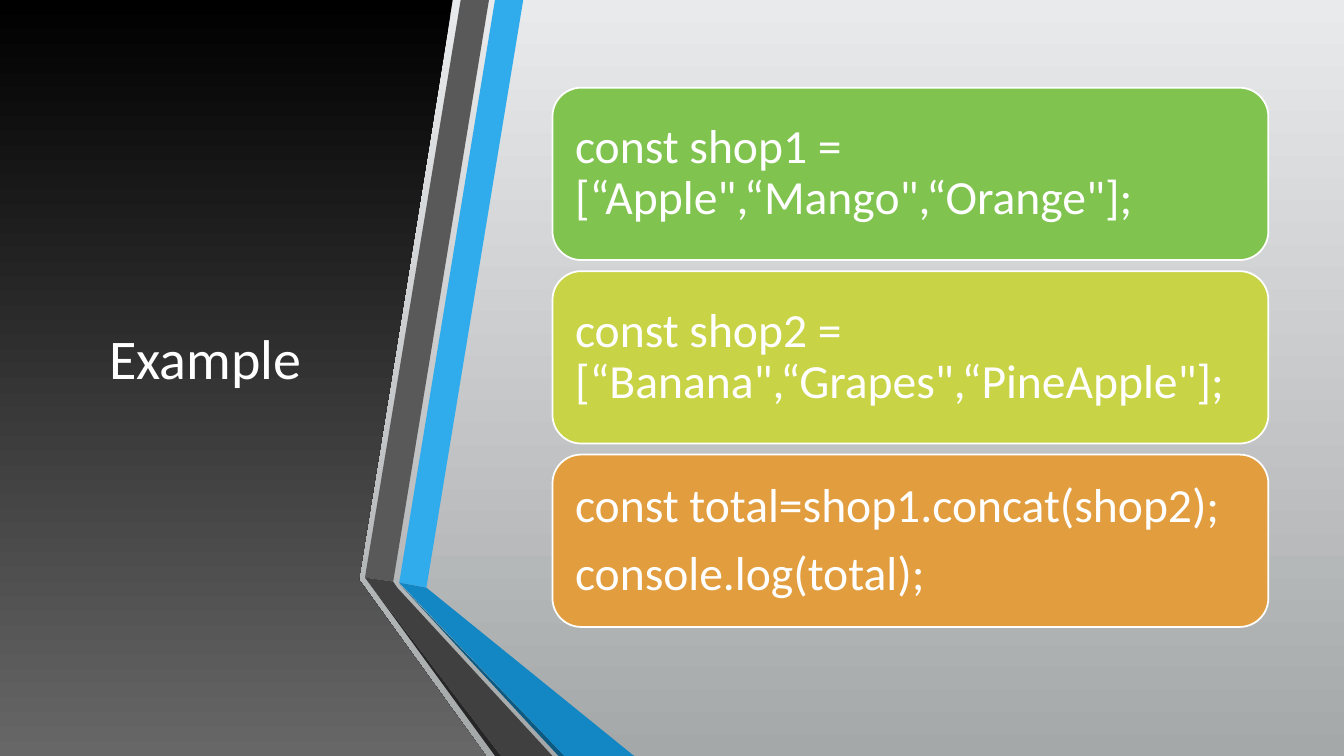
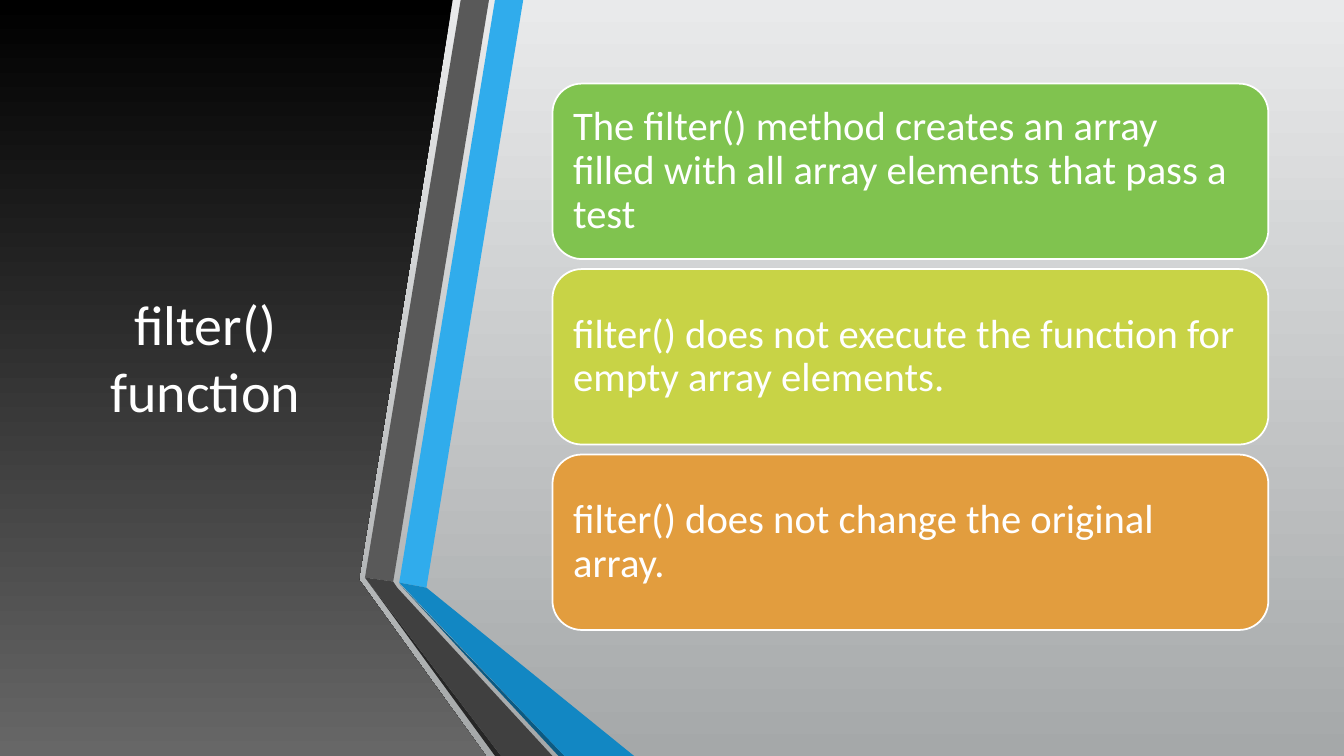
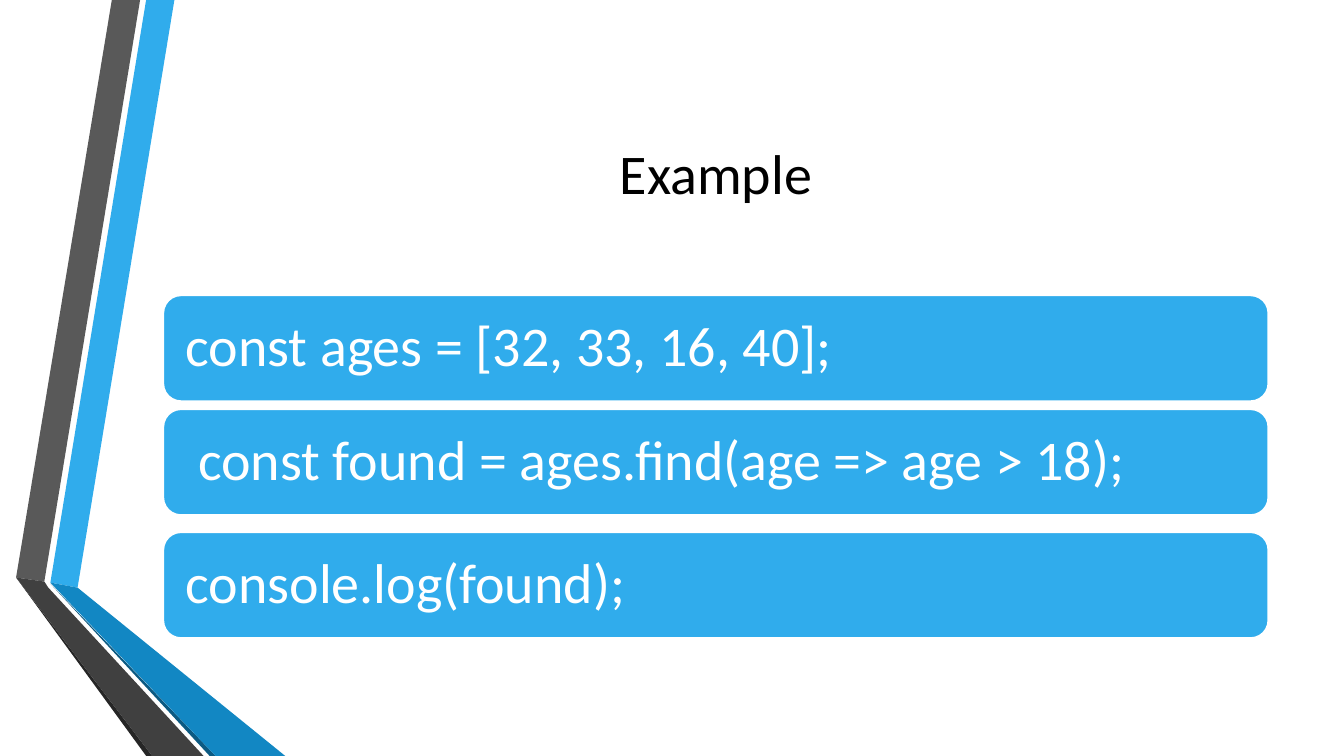
from dataclasses import dataclass

from pptx import Presentation
from pptx.dml.color import RGBColor
from pptx.enum.shapes import MSO_SHAPE
from pptx.enum.text import MSO_ANCHOR, PP_ALIGN
from pptx.util import Inches, Pt


@dataclass(frozen=True)
class Theme:
    """Colours, font and type sizes shared by all slides."""
    font: str = "Calibri"
    white: str = "FFFFFF"
    black: str = "000000"
    blue: str = "30ACEC"
    navy: str = "0C5A82"
    azure: str = "1287C3"
    gray: str = "595959"
    coal: str = "404040"
    soot: str = "262626"
    cards: tuple = ("80C34F", "C8D346", "E29D3E")
    sky: tuple = ("E9EAEB", "A5A8A9")
    night: tuple = ("000000", "676767")
    title: int = 40
    code: int = 34
    body: int = 29
    large: int = 40


THEME = Theme()
WIDTH, HEIGHT = 13.33, 7.5
SHIFT = 3.46
PANEL = ((0, 0), (4.49, 0), (3.56, 5.75), (4.82, HEIGHT), (0, HEIGHT))
BANDS = (
    (THEME.blue, ((0.5, 5.78), (0.77, 5.83), (1.73, 0), (1.45, 0))),
    (THEME.gray, ((1.39, 0), (1.11, 0), (0.16, 5.73), (0.44, 5.77))),
    (THEME.soot, ((0.16, 5.73), (1.45, HEIGHT), (1.51, HEIGHT))),
    (THEME.navy, ((0.5, 5.79), (2.08, HEIGHT), (2.14, HEIGHT))),
    (THEME.azure, ((0.5, 5.78), (2.14, HEIGHT), (2.83, HEIGHT), (0.77, 5.83))),
    (THEME.coal, ((2.02, HEIGHT), (0.48, 5.83), (0.44, 5.77), (0.16, 5.73), (1.51, HEIGHT))),
)


def tint(fill, color):
    """Fill with one colour."""
    fill.solid()
    fill.fore_color.rgb = RGBColor.from_string(color)


def fade(fill, colors):
    """Fill with a gradient from top to bottom."""
    fill.gradient()
    fill.gradient_angle = 270
    for stop, color in zip(fill.gradient_stops, colors):
        stop.color.rgb = RGBColor.from_string(color)


def outline(shapes, points, shift=0):
    """Add a closed shape without a line, moved right by shift."""
    spots = [(Inches(x + shift), Inches(y)) for x, y in points]
    pen = shapes.build_freeform(*spots[0])
    pen.add_line_segments(spots[1:], close=True)
    shape = pen.convert_to_shape()
    shape.shadow.inherit = False
    shape.line.fill.background()
    return shape


def ribbon(slide, shift=0):
    """Add the folded ribbon as a group."""
    group = slide.shapes.add_group_shape()
    for color, points in BANDS:
        tint(outline(group.shapes, points, shift).fill, color)


def write(frame, lines, size, color, align):
    """Write one paragraph per line, centred on the height."""
    frame.word_wrap = True
    frame.vertical_anchor = MSO_ANCHOR.MIDDLE
    for index, line in enumerate(lines):
        para = frame.add_paragraph() if index else frame.paragraphs[0]
        para.text = line
        para.alignment = align
        para.font.name = THEME.font
        para.font.size = Pt(size)
        para.font.color.rgb = RGBColor.from_string(color)


def title(slide, text, box, color):
    """Add a centred title."""
    frame = slide.shapes.add_textbox(*map(Inches, box)).text_frame
    write(frame, [text], THEME.title, color, PP_ALIGN.CENTER)


def card(slide, lines, box, color, size, inset):
    """Add a rounded card with text on the left."""
    shape = slide.shapes.add_shape(MSO_SHAPE.ROUNDED_RECTANGLE, *map(Inches, box))
    shape.shadow.inherit = False
    tint(shape.fill, color)
    tint(shape.line.fill, THEME.white)
    shape.line.width = Pt(1.25)
    frame = shape.text_frame
    frame.margin_left = frame.margin_right = Inches(inset)
    frame.margin_top = frame.margin_bottom = Inches(inset)
    write(frame, lines, size, THEME.white, PP_ALIGN.LEFT)
    for para in frame.paragraphs:
        para.line_spacing = 0.9
        para.space_after = Pt(size * 0.35)


def add_slide(deck):
    """Add a blank slide."""
    return deck.slides.add_slide(deck.slide_layouts[6])


def split(deck, head, texts, top, high, step, size, inset):
    """Add a slide with a dark title panel and three cards."""
    slide = add_slide(deck)
    fade(slide.background.fill, THEME.sky)
    fade(outline(slide.shapes, PANEL).fill, THEME.night)
    title(slide, head, (0.59, 0.75, 2.89, 5.58), THEME.white)
    ribbon(slide, SHIFT)
    for row, (lines, color) in enumerate(zip(texts, THEME.cards)):
        card(slide, lines, (5.48, top + row * step, 7.1, high), color, size, inset)


def plain(deck, head, rows):
    """Add a white slide with a title over wide cards."""
    slide = add_slide(deck)
    tint(slide.background.fill, THEME.white)
    ribbon(slide)
    title(slide, head, (1.62, 0.75, 10.96, 1.92), THEME.black)
    for top, line in rows:
        card(slide, [line], (1.62, top, 10.96, 1.05), THEME.blue, THEME.large, 0.17)


def main():
    """Build and save the deck."""
    deck = Presentation()
    deck.slide_width, deck.slide_height = Inches(WIDTH), Inches(HEIGHT)
    split(deck, "Example", (
        ['const shop1 = [“Apple",“Mango",“Orange"];'],
        ['const shop2 = [“Banana",“Grapes",“PineApple"];'],
        ["const total=shop1.concat(shop2);", "console.log(total);"],
    ), top=0.87, high=1.71, step=1.82, size=THEME.code, inset=0.14)
    split(deck, "filter() function", (
        ["The filter() method creates an array filled with all array elements that pass a test"],
        ["filter() does not execute the function for empty array elements."],
        ["filter() does not change the original array."],
    ), top=0.83, high=1.74, step=1.84, size=THEME.body, inset=0.12)
    plain(deck, "Example", (
        (2.93, "const ages = [32, 33, 16, 40];"),
        (4.06, " const found = ages.find(age => age > 18);"),
        (5.28, "console.log(found);"),
    ))
    deck.save("out.pptx")


if __name__ == "__main__":
    main()
